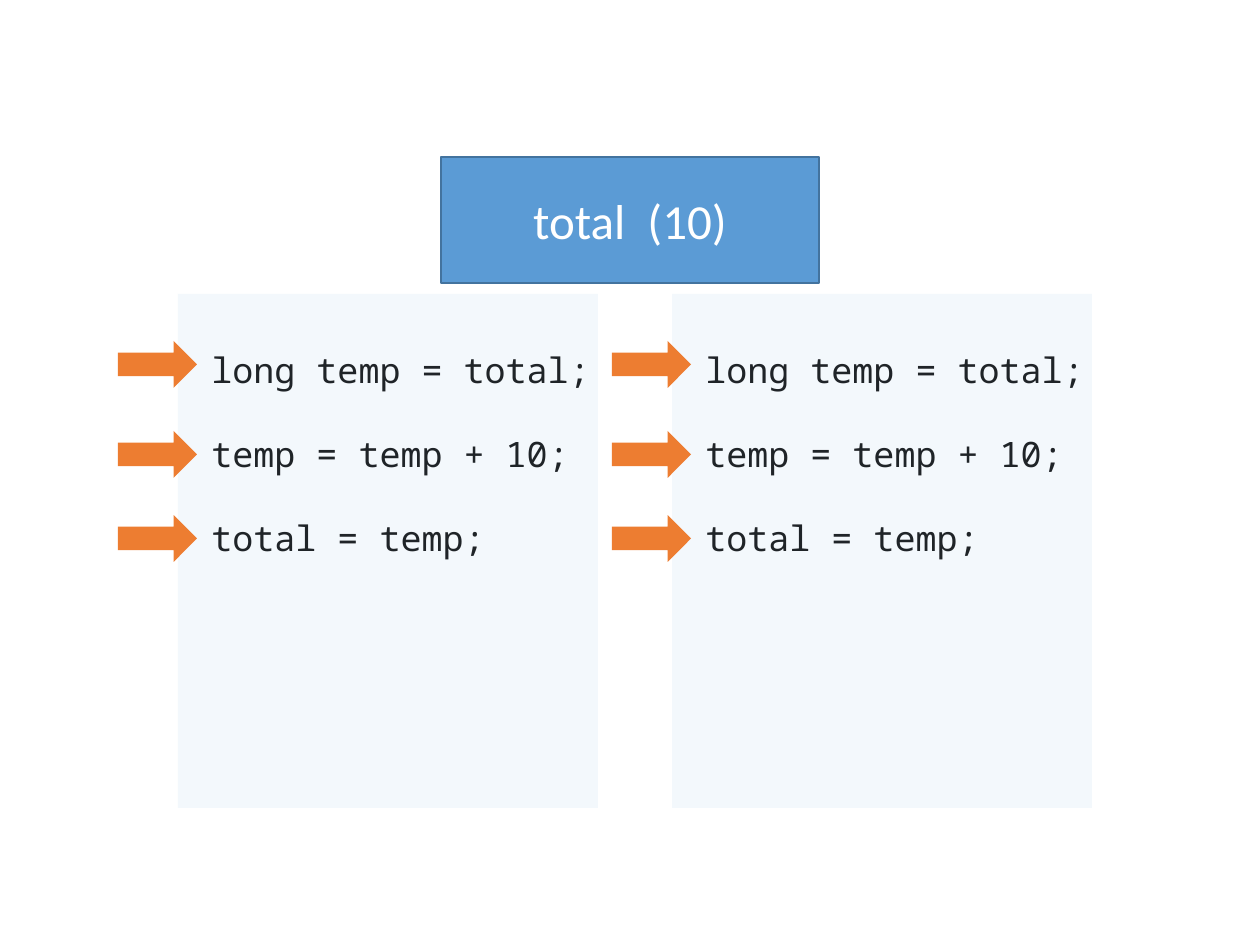
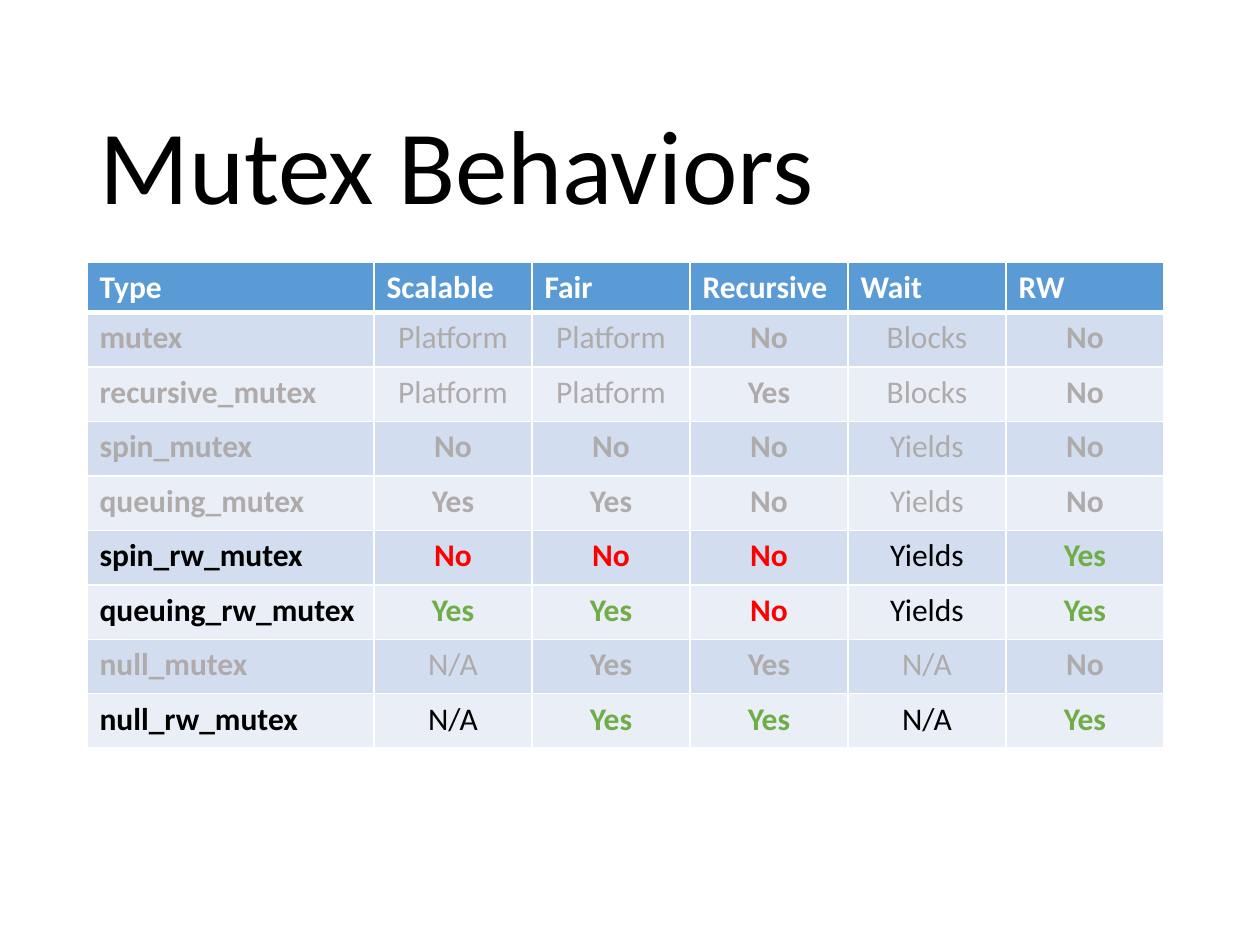
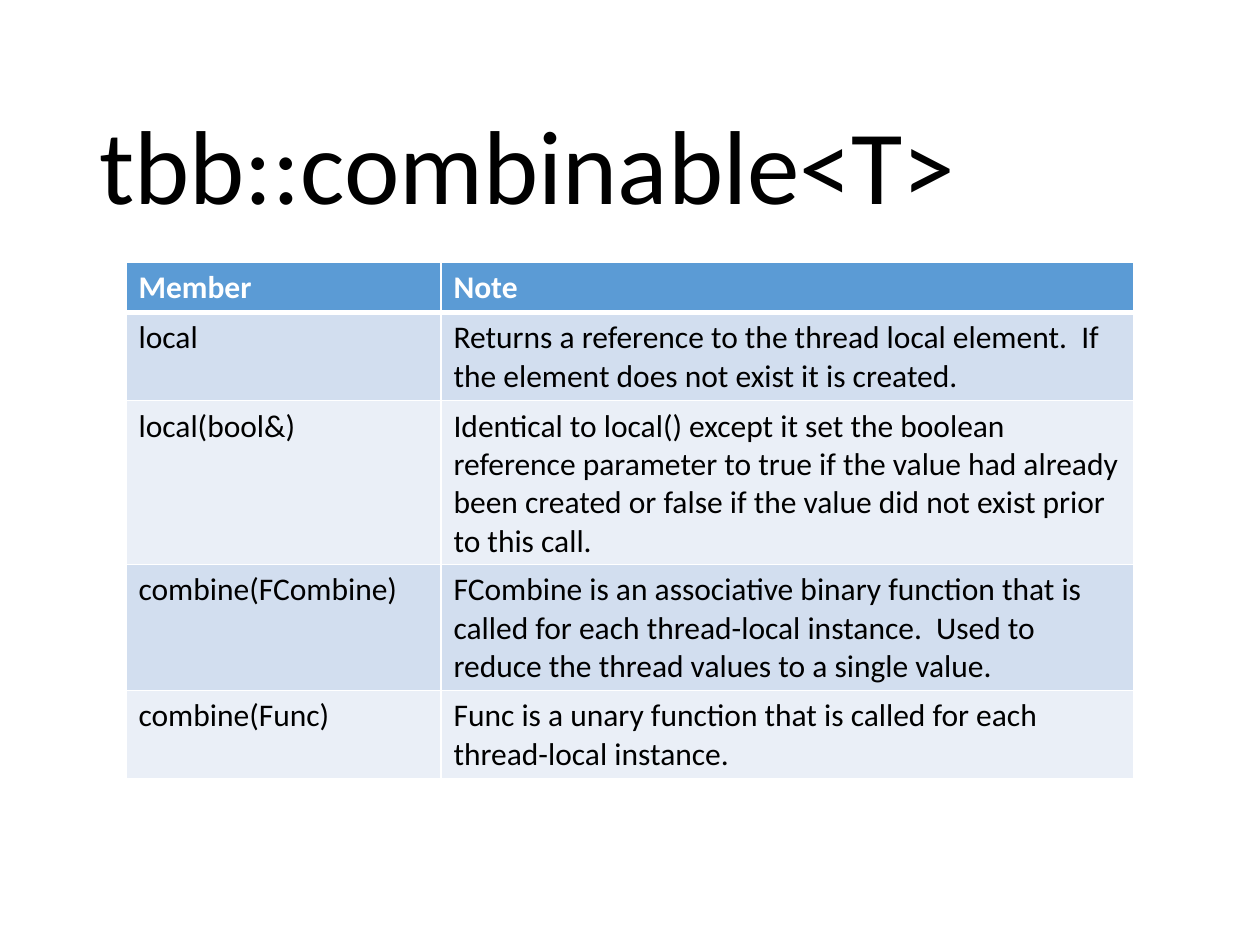
import lxml.etree
import pptx
import pptx.dml.color
import pptx.enum.shapes
import pptx.enum.text
import pptx.oxml.ns
import pptx.util

EMU_PER_PX = 914400 / 126
COLORS = {
    "white": "FFFFFF", "black": "000000", "blue": "5B9BD5", "outline": "43739E",
    "panel": "BDD7EE", "orange": "ED7D31", "band_dark": "D2DEEF", "band_light": "EAEFF7",
    "muted": "AFABAB", "yes": "70AD47", "no": "FF0000",
}
SHAPES = pptx.enum.shapes.MSO_SHAPE
ANCHOR = pptx.enum.text.MSO_ANCHOR
ALIGN = pptx.enum.text.PP_ALIGN
CODE_LINES = ["long temp = total;", "temp = temp + 10;", "total = temp;"]
THREAD_PITCH = 494
ARROW_TOPS = [325, 415, 499]
MUTEX_ROWS = [
    ["Type", "Scalable", "Fair", "Recursive", "Wait", "RW"],
    ["mutex", "Platform", "Platform", "No", "Blocks", "No"],
    ["recursive_mutex", "Platform", "Platform", "Yes", "Blocks", "No"],
    ["spin_mutex", "No", "No", "No", "Yields", "No"],
    ["queuing_mutex", "Yes", "Yes", "No", "Yields", "No"],
    ["spin_rw_mutex", "No", "No", "No", "Yields", "Yes"],
    ["queuing_rw_mutex", "Yes", "Yes", "No", "Yields", "Yes"],
    ["null_mutex", "N/A", "Yes", "Yes", "N/A", "No"],
    ["null_rw_mutex", "N/A", "Yes", "Yes", "N/A", "Yes"],
]
COMBINABLE_ROWS = [
    ["Member", "Note"],
    ["local", "Returns a reference to the thread local element.  If the element does not "
     "exist it is created."],
    ["local(bool&)", "Identical to local() except it set the boolean reference parameter to true "
     "if the value had already been created or false if the value did not exist prior to this call."],
    ["combine(FCombine)", "FCombine is an associative binary function that is called for each "
     "thread-local instance.  Used to reduce the thread values to a single value."],
    ["combine(Func)", "Func is a unary function that is called for each thread-local instance."],
]


def emu(px):
    """Turn px into EMU."""
    return round(px * EMU_PER_PX)


def rgb(name):
    """Return the named colour."""
    return pptx.dml.color.RGBColor.from_string(COLORS[name])


def set_values(target, values):
    """Set every attribute in values on target."""
    for name, value in values.items():
        setattr(target, name, value)


def add_element(parent, tag, **attributes):
    """Append a DrawingML element to parent."""
    return lxml.etree.SubElement(parent, pptx.oxml.ns.qn(tag), attributes)


class Deck:
    """Hold the shared style and the current slide."""

    def __init__(self):
        """Start an empty 10 by 7.5 inch presentation."""
        self.presentation = pptx.Presentation()
        set_values(self.presentation, {"slide_width": emu(1260), "slide_height": emu(945)})
        self.slide = None

    def add_slide(self, title=None):
        """Start a blank slide, with a title if given."""
        self.slide = self.presentation.slides.add_slide(self.presentation.slide_layouts[6])
        if title:
            self.text_box([87, 50, 1086, 183], [title], 60, anchor=ANCHOR.BOTTOM,
                          spacing={"line_spacing": 0.9})

    def fill_text(self, frame, lines, size, font="Calibri", color="black", bold=False,
                  spacing=None):
        """Fill a text frame with one paragraph per line."""
        for index, line in enumerate(lines):
            paragraph = frame.add_paragraph() if index else frame.paragraphs[0]
            set_values(paragraph, spacing or {})
            if index == 0:
                paragraph.space_before = pptx.util.Pt(0)
            run = paragraph.add_run()
            run.text = line
            set_values(run.font, {"size": pptx.util.Pt(size), "name": font, "bold": bold})
            run.font.color.rgb = rgb(color)

    def text_box(self, box, lines, size, anchor=ANCHOR.TOP, **style):
        """Add wrapped text."""
        frame = self.slide.shapes.add_textbox(*map(emu, box)).text_frame
        set_values(frame, {"word_wrap": True, "vertical_anchor": anchor})
        self.fill_text(frame, lines, size, **style)

    def shape(self, kind, box, fill, line=None, opacity=None, rotation=0):
        """Add a flat preset shape."""
        shape = self.slide.shapes.add_shape(kind, *map(emu, box))
        shape.rotation = rotation
        shape.shadow.inherit = False
        shape.fill.solid()
        shape.fill.fore_color.rgb = rgb(fill)
        if opacity:
            color = shape._element.spPr.find(".//" + pptx.oxml.ns.qn("a:srgbClr"))
            add_element(color, "a:alpha", val=str(opacity * 1000))
        if line:
            shape.line.color.rgb = rgb(line)
            shape.line.width = pptx.util.Pt(1)
        else:
            shape.line.fill.background()
        return shape

    def label(self, shape, text, size):
        """Centre white text in a shape."""
        shape.text_frame.vertical_anchor = ANCHOR.MIDDLE
        self.fill_text(shape.text_frame, [text], size, color="white",
                       spacing={"alignment": ALIGN.CENTER})

    def borders(self, cell, top, bottom):
        """Draw white cell borders."""
        widths = {"a:lnL": 1, "a:lnR": 1, "a:lnT": top, "a:lnB": bottom}
        for tag, width in widths.items():
            line = add_element(cell._tc.get_or_add_tcPr(), tag, w=str(pptx.util.Pt(width)))
            add_element(add_element(line, "a:solidFill"), "a:srgbClr", val=COLORS["white"])

    def table(self, left, widths, body_height, rows, body_style):
        """Add a banded table; body_style(row, column) gives the look of body text."""
        frame = self.slide.shapes.add_table(len(rows), len(widths), emu(left), emu(262),
                                            emu(sum(widths)), emu(48 + body_height))
        table = frame.table
        table.horz_banding = False
        for column, width in zip(table.columns, widths):
            column.width = emu(width)
        for r, row in enumerate(rows):
            table.rows[r].height = emu(body_height / (len(rows) - 1) if r else 48)
            fill = ("band_light", "band_dark")[r % 2] if r else "blue"
            for c, text in enumerate(row):
                cell = table.cell(r, c)
                self.borders(cell, 3 if r == 1 else 1, 1 if r else 3)
                cell.fill.solid()
                cell.fill.fore_color.rgb = rgb(fill)
                style = body_style(row, c) if r else {"color": "white", "bold": True}
                self.fill_text(cell.text_frame, [text], 18, **style)


def mutex_style(row, column):
    """Mute the rows of mutexes without reader-writer support and colour the verdicts."""
    verdict = row[column].lower() if row[column] in ("Yes", "No") else None
    return {
        "color": (verdict or "black") if "_rw_" in row[0] else "muted",
        "bold": column == 0 or verdict is not None,
        "spacing": {"alignment": ALIGN.CENTER if column else ALIGN.LEFT},
    }


def build_race(deck):
    """Show two threads updating one total."""
    deck.add_slide()
    offsets = [0, THREAD_PITCH]
    spacing = {"line_spacing": pptx.util.Pt(24), "space_before": pptx.util.Pt(24)}
    for offset in offsets:
        deck.text_box([199 + offset, 342, 441, 224], CODE_LINES, 20,
                      font="Noto Sans Mono", spacing=spacing)
    total = deck.shape(SHAPES.RECTANGLE, [441, 157, 378, 126], "blue", line="outline")
    deck.label(total, "total  (10)", 28)
    for offset in offsets:
        deck.shape(SHAPES.RECTANGLE, [178 + offset, 294, 420, 514], "panel", opacity=17)
    for offset in offsets:
        for top in ARROW_TOPS:
            deck.shape(SHAPES.UP_ARROW, [134 + offset, top, 47, 79], "orange", rotation=90)


def main():
    """Build and save the presentation."""
    deck = Deck()
    build_race(deck)
    deck.add_slide("Mutex Behaviors")
    deck.table(87, [287] + [158] * 5, 436, MUTEX_ROWS, mutex_style)
    deck.add_slide("tbb::combinable<T>")
    deck.table(126, [315, 693], 216, COMBINABLE_ROWS, lambda row, column: {})
    deck.presentation.save("out.pptx")


if __name__ == "__main__":
    main()
